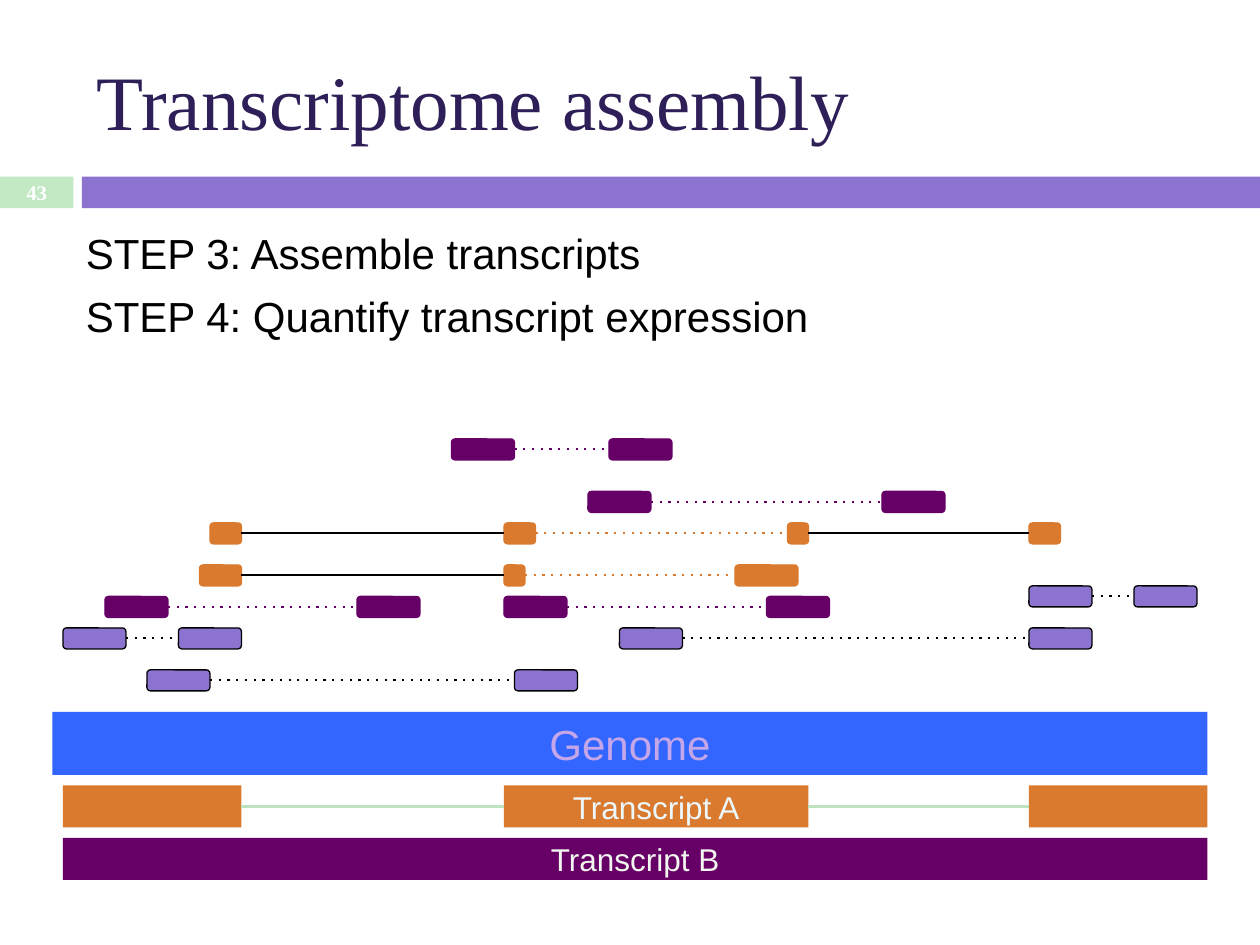
from dataclasses import dataclass
from typing import Optional

from lxml import etree
from pptx import Presentation
from pptx import util as u
from pptx.dml.color import RGBColor
from pptx.enum import dml, shapes, text
from pptx.oxml import ns

VIOLET = RGBColor(0x8C, 0x73, 0xD0)
MINT = RGBColor(0xC2, 0xE8, 0xC4)
INTRON = RGBColor(0xBD, 0xE4, 0xBF)
INDIGO = RGBColor(0x2F, 0x1F, 0x58)
BLUE = RGBColor(0x33, 0x66, 0xFF)
LILAC = RGBColor(0xC5, 0xA6, 0xE8)
PURPLE = RGBColor(0x66, 0x00, 0x66)
ORANGE = RGBColor(0xD9, 0x7A, 0x2E)
PALE_BLUE = RGBColor(0xEC, 0xF8, 0xFE)
PALE_GREEN = RGBColor(0xF2, 0xF6, 0xEF)
BLACK = RGBColor(0x00, 0x00, 0x00)
WHITE = RGBColor(0xFF, 0xFF, 0xFF)

UNIT = 2.54 / 12
ROW_SHIFT = -0.2
RECT = shapes.MSO_SHAPE.RECTANGLE
ROUNDED = shapes.MSO_SHAPE.ROUNDED_RECTANGLE


@dataclass
class Link:
    color: RGBColor
    width: float = 1.25
    dotted: bool = True


@dataclass
class Chain:
    row: int
    fill: RGBColor
    blocks: list[tuple[int, int]]
    links: list[Link]
    outline: Optional[RGBColor] = None
    height: int = 2


@dataclass
class Label:
    content: str
    size: float
    color: RGBColor
    font: str = "Arial"
    bold: bool = False


SPLICE = Link(BLACK, dotted=False)
ORANGE_GAP = Link(ORANGE)
PURPLE_GAP = Link(PURPLE)
BLACK_GAP = Link(BLACK)
INTRON_LINK = Link(INTRON, 2, False)


def purple_read(row: int, first: int, second: int) -> Chain:
    return Chain(row, PURPLE, [(first, 6), (second, 6)], [PURPLE_GAP], PURPLE)


def violet_read(row: int, first: int, second: int) -> Chain:
    return Chain(row, VIOLET, [(first, 6), (second, 6)], [BLACK_GAP], BLACK)


READS = [
    purple_read(42, 43, 58),
    purple_read(47, 56, 84),
    Chain(50, ORANGE, [(20, 3), (48, 3), (75, 2), (98, 3)],
          [SPLICE, ORANGE_GAP, SPLICE], ORANGE),
    Chain(54, ORANGE, [(19, 4), (48, 2), (70, 6)], [SPLICE, ORANGE_GAP], ORANGE),
    violet_read(56, 98, 108),
    purple_read(57, 10, 34),
    purple_read(57, 48, 73),
    violet_read(60, 6, 17),
    violet_read(60, 59, 98),
    violet_read(64, 14, 49),
]
GENOME = Chain(68, BLUE, [(5, 110)], [], height=6)
TRANSCRIPT_A = Chain(75, ORANGE, [(6, 17), (48, 29), (98, 17)],
                     [INTRON_LINK, INTRON_LINK], height=4)
TRANSCRIPT_B = Chain(80, PURPLE, [(6, 109)], [], height=4)


def add_span(para, label: Label) -> None:
    span = para.add_run()
    span.text = label.content
    span.font.name = label.font
    span.font.size = u.Pt(label.size)
    span.font.bold = label.bold
    span.font.color.rgb = label.color


def write_centred(box, label: Label) -> None:
    frame = box.text_frame
    frame.word_wrap = True
    frame.vertical_anchor = text.MSO_ANCHOR.MIDDLE
    para = frame.paragraphs[0]
    para.alignment = text.PP_ALIGN.CENTER
    add_span(para, label)


def add_box(page, kind, place: tuple, fill: RGBColor,
            outline: Optional[RGBColor] = None):
    box = page.shapes.add_shape(kind, *(u.Cm(value) for value in place))
    box.shadow.inherit = False
    box.fill.solid()
    box.fill.fore_color.rgb = fill
    if outline is None:
        box.line.fill.background()
    else:
        box.line.color.rgb = outline
        box.line.width = u.Pt(0.75)
    return box


def add_link(page, left_box, right_box, link: Link) -> None:
    line = page.shapes.add_connector(shapes.MSO_CONNECTOR.STRAIGHT, 0, 0, 0, 0)
    line.begin_connect(left_box, 3)
    line.end_connect(right_box, 1)
    line.line.color.rgb = link.color
    line.line.width = u.Pt(link.width)
    properties = line._element.spPr
    if link.dotted:
        line.line.dash_style = dml.MSO_LINE.ROUND_DOT
        properties.find(".//" + ns.qn("a:prstDash")).set("val", "dot")
    etree.SubElement(properties, ns.qn("a:effectLst"))


def add_chain(page, chain: Chain) -> list:
    kind = ROUNDED if chain.outline is not None else RECT
    top = (chain.row + ROW_SHIFT) * UNIT
    boxes = [
        add_box(page, kind, (start * UNIT, top, width * UNIT, chain.height * UNIT),
                chain.fill, chain.outline)
        for start, width in chain.blocks
    ]
    for left_box, right_box, link in zip(boxes, boxes[1:], chain.links):
        add_link(page, left_box, right_box, link)
    return boxes


def add_steps(page, steps: list[str]) -> None:
    box = page.shapes.add_textbox(u.Cm(1.48), u.Cm(4.47), u.Cm(22.66), u.Cm(3.05))
    frame = box.text_frame
    frame.word_wrap = True
    for index, step in enumerate(steps):
        para = frame.add_paragraph() if index else frame.paragraphs[0]
        if index:
            para.space_before = u.Pt(7)
        add_span(para, Label(step, 24, BLACK))


def add_title(page, content: str) -> None:
    title = page.shapes.title
    title.left, title.top = u.Cm(1.7), u.Cm(0.64)
    title.width, title.height = u.Cm(22.66), u.Cm(2.74)
    frame = title.text_frame
    frame.vertical_anchor = text.MSO_ANCHOR.MIDDLE
    para = frame.paragraphs[0]
    para.alignment = text.PP_ALIGN.LEFT
    add_span(para, Label(content, 44, INDIGO, "Times New Roman"))


def main() -> None:
    deck = Presentation()
    deck.slide_width, deck.slide_height = u.Cm(25.4), u.Cm(19.05)
    page = deck.slides.add_slide(deck.slide_layouts[5])

    add_title(page, "Transcriptome assembly")
    number_box = add_box(page, RECT, (0, 3.56, 1.48, 0.64), MINT)
    number_box.text_frame.margin_top = number_box.text_frame.margin_bottom = 0
    write_centred(number_box, Label("43", 11.9, WHITE, "Times New Roman", True))
    add_box(page, RECT, (1.65, 3.56, 23.75, 0.64), VIOLET)
    add_steps(page, ["STEP 3: Assemble transcripts",
                     "STEP 4: Quantify transcript expression"])

    for read in READS:
        add_chain(page, read)
    genome = add_chain(page, GENOME)[0]
    write_centred(genome, Label("Genome", 24, LILAC))
    middle_exon = add_chain(page, TRANSCRIPT_A)[1]
    write_centred(middle_exon, Label("Transcript A", 18, PALE_BLUE))
    transcript_b = add_chain(page, TRANSCRIPT_B)[0]
    write_centred(transcript_b, Label("Transcript B", 18, PALE_GREEN))

    deck.save("out.pptx")


if __name__ == "__main__":
    main()
